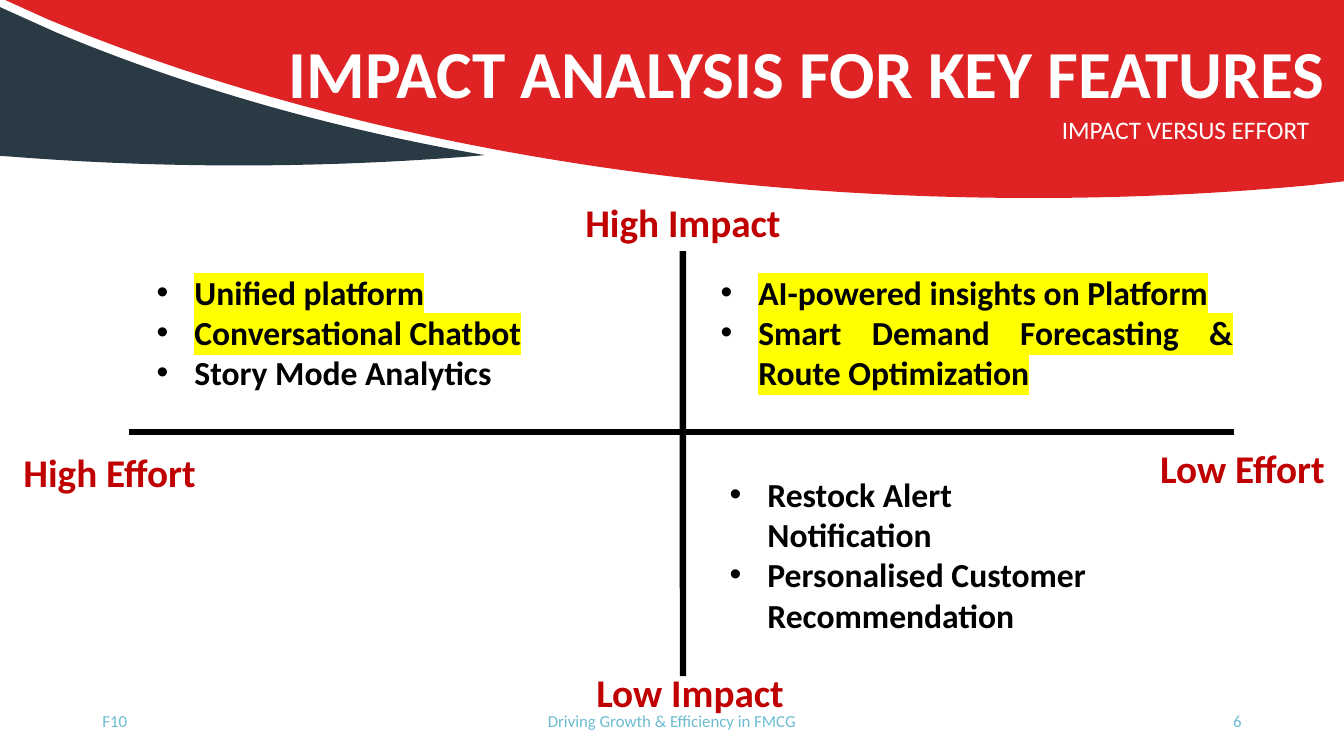
from dataclasses import dataclass

from lxml.etree import SubElement
from pptx import Presentation
from pptx.dml.color import RGBColor
from pptx.enum.shapes import MSO_CONNECTOR as Connector
from pptx.enum.text import MSO_ANCHOR as Anchor, PP_ALIGN as Align
from pptx.oxml.ns import qn
from pptx.util import Cm, Pt


@dataclass(frozen=True)
class Theme:
    font: str = "Calibri"
    red: str = "DF2223"
    slate: str = "2A3A45"
    white: str = "FFFFFF"
    black: str = "000000"
    label: str = "C00000"
    footer: str = "6CBCD1"
    highlight: str = "FFFF00"
    title_size: int = 48
    label_size: int = 28
    bullet_size: int = 24
    subtitle_size: int = 18
    footer_size: int = 12
    axis_width: float = 4.5


theme = Theme()
presentation = Presentation()
presentation.slide_width, presentation.slide_height = Cm(33.87), Cm(19.05)
slide = presentation.slides.add_slide(presentation.slide_layouts[6])


def add_text(lines, left, top, width, height, size, color, bold=False, align=Align.LEFT,
             anchor=Anchor.TOP, bullets=False, highlighted=0, spacing=None, right_inset=0.25):
    """Add a text box; the first `highlighted` lines get a marker colour."""
    box = slide.shapes.add_textbox(Cm(left), Cm(top), Cm(width), Cm(height))
    frame = box.text_frame
    frame.word_wrap = True
    frame.vertical_anchor = anchor
    frame.margin_right = Cm(right_inset)
    for index, line in enumerate(lines):
        paragraph = frame.add_paragraph() if index else frame.paragraphs[0]
        paragraph.alignment = align
        if spacing:
            paragraph.line_spacing = spacing
        run = paragraph.add_run()
        run.text = line
        font = run.font
        font.name, font.size, font.bold = theme.font, Pt(size), bold
        font.color.rgb = RGBColor.from_string(color)
        if index < highlighted:
            properties = run._r.get_or_add_rPr()
            marker = SubElement(properties, qn("a:highlight"))
            SubElement(marker, qn("a:srgbClr")).set("val", theme.highlight)
            properties.find(qn("a:solidFill")).addnext(marker)
        if bullets:
            properties = paragraph._p.get_or_add_pPr()
            properties.set("marL", str(Cm(0.95)))
            properties.set("indent", str(-Cm(0.95)))
            SubElement(properties, qn("a:buFont")).set("typeface", "Arial")
            SubElement(properties, qn("a:buChar")).set("char", "•")
    return box


def add_swoosh(start, segments, color):
    """Draw a filled outline; one point is a line, three points are a Bézier curve."""
    builder = slide.shapes.build_freeform(Cm(start[0]), Cm(start[1]))
    points = [(Cm(x), Cm(y)) for segment in segments for x, y in segment]
    builder.add_line_segments(points, close=True)
    swoosh = builder.convert_to_shape()
    lines = iter(list(swoosh._element.iter(qn("a:lnTo"))))
    for segment in segments:
        first, *others = [next(lines) for _ in segment]
        if others:
            first.tag = qn("a:cubicBezTo")
            for line in others:
                first.append(line[0])
                line.getparent().remove(line)
    swoosh.shadow.inherit = False
    swoosh.fill.solid()
    swoosh.fill.fore_color.rgb = RGBColor.from_string(color)
    swoosh.line.fill.background()


# Header swooshes
add_swoosh((0.13, 0), [
    [(33.87, 0)],
    [(33.87, 4.57)],
    [(32.99, 4.67)],
    [(30.73, 4.88), (28.42, 4.99), (26.06, 4.99)],
    [(16.61, 4.99), (7.95, 3.3), (1.19, 0.48)],
], theme.red)
add_swoosh((0, 0.18), [
    [(1.4, 0.81)],
    [(4.42, 2.08), (7.9, 3.12), (11.66, 3.81)],
    [(12.22, 3.91)],
    [(11.86, 3.94)],
    [(9.96, 4.09), (8, 4.17), (6.02, 4.17)],
    [(4.04, 4.17), (2.08, 4.09), (0.18, 3.94)],
    [(0, 3.93)],
], theme.slate)

# Footer
for text, left, width, align in (
    ("F10", 2.33, 7.62, Align.LEFT),
    ("Driving Growth & Efficiency in FMCG", 11.22, 11.43, Align.CENTER),
    ("6", 23.92, 7.62, Align.RIGHT),
):
    add_text([text], left, 17.65, width, 1.02, theme.footer_size, theme.footer,
             align=align, anchor=Anchor.MIDDLE)

# Title and subtitle
add_text(["IMPACT ANALYSIS FOR KEY FEATURES"], 2.87, 0.1, 31.55, 3.68, theme.title_size,
         theme.white, bold=True, align=Align.RIGHT, anchor=Anchor.MIDDLE,
         spacing=0.9, right_inset=1.02)
add_text(["IMPACT VERSUS EFFORT"], 18.14, 2.76, 15.11, 1.02, theme.subtitle_size,
         theme.white, align=Align.RIGHT)

# Axis labels
labels = {}
for text, left, top in (
    ("Low Impact", 14.63, 16.71),
    ("High Impact", 14.45, 4.88),
    ("High Effort", 0, 11.18),
    ("Low Effort", 28.55, 11.07),
):
    labels[text] = add_text([text], left, top, 5.52, 1.45, theme.label_size, theme.label,
                            bold=True, align=Align.CENTER)

# Axes
impact_axis, effort_axis = [
    slide.shapes.add_connector(Connector.STRAIGHT, *map(Cm, ends))
    for ends in ((17.21, 6.33, 17.21, 17.04), (31.11, 10.89, 3.25, 10.89))
]
impact_axis.begin_connect(labels["High Impact"], 2)
for axis in (impact_axis, effort_axis):
    axis.line.width = Pt(theme.axis_width)
    axis.line.color.rgb = RGBColor.from_string(theme.black)
    SubElement(axis._element.spPr, qn("a:effectLst"))

# Features in each quadrant
for features, left, top, width, height, align, highlighted in (
    (["Unified platform", "Conversational Chatbot", "Story Mode Analytics"],
     3.7, 6.72, 10.92, 6.4, Align.JUSTIFY, 2),
    (["AI-powered insights on Platform", "Smart Demand Forecasting & Route Optimization"],
     17.91, 6.72, 13.41, 3.33, Align.JUSTIFY, 2),
    (["Restock Alert Notification", "Personalised Customer Recommendation"],
     18.14, 11.81, 10.41, 3.33, Align.LEFT, 0),
):
    add_text(features, left, top, width, height, theme.bullet_size, theme.black, bold=True,
             align=align, bullets=True, highlighted=highlighted)

presentation.save("out.pptx")
